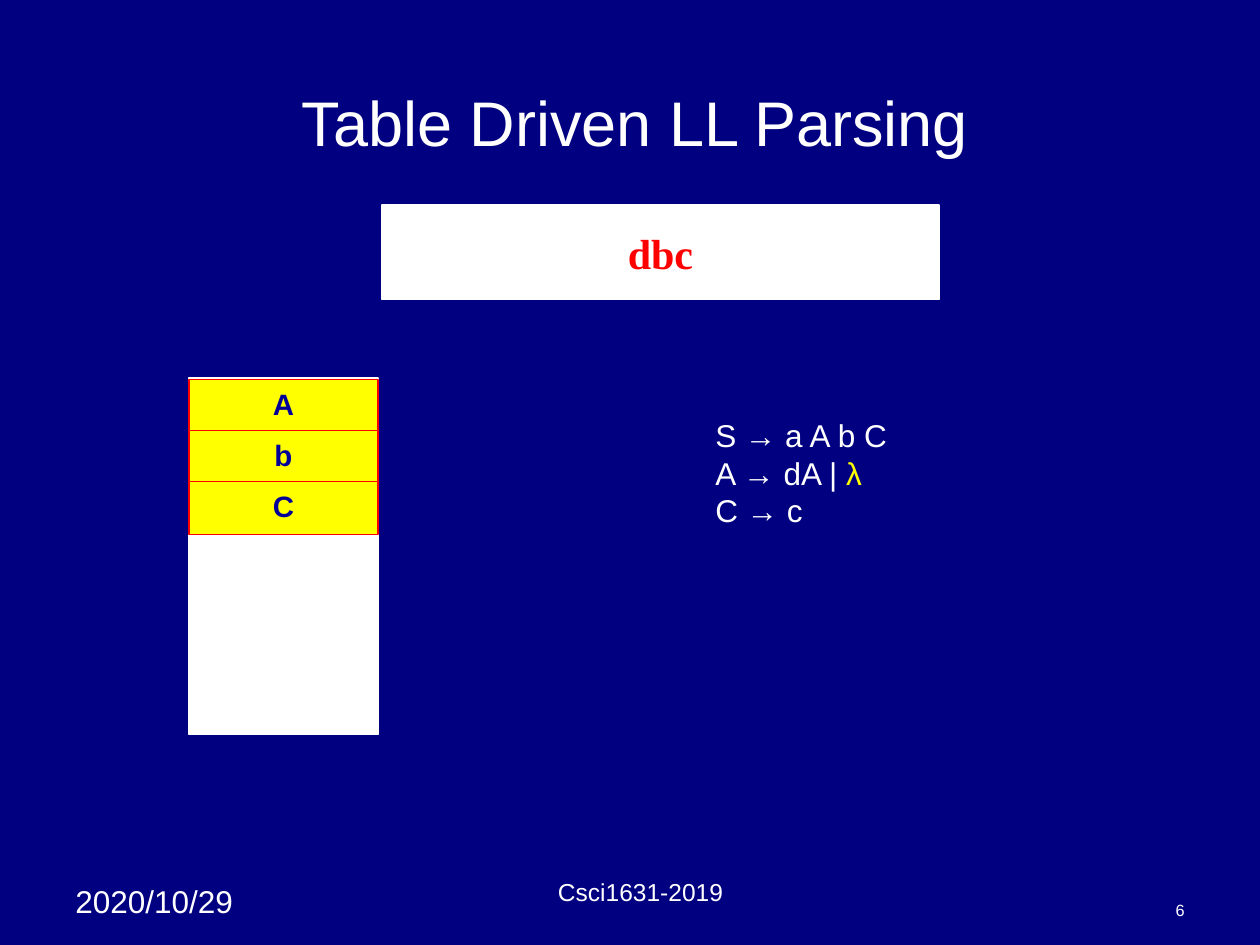
"""Build the slide on table driven LL parsing."""

from pptx import Presentation
from pptx.dml.color import RGBColor
from pptx.enum.shapes import MSO_SHAPE
from pptx.enum.text import MSO_ANCHOR, PP_ALIGN
from pptx.util import Cm, Pt

RECTANGLE = MSO_SHAPE.RECTANGLE
LEFT, CENTER, RIGHT = PP_ALIGN.LEFT, PP_ALIGN.CENTER, PP_ALIGN.RIGHT
TOP, MIDDLE, BOTTOM = MSO_ANCHOR.TOP, MSO_ANCHOR.MIDDLE, MSO_ANCHOR.BOTTOM

NAVY = RGBColor(0x00, 0x00, 0x80)
INK = RGBColor(0x00, 0x00, 0x99)
WHITE = RGBColor(0xFF, 0xFF, 0xFF)
YELLOW = RGBColor(0xFF, 0xFF, 0x00)
RED = RGBColor(0xFF, 0x00, 0x00)


def write(frame, lines, size=18, color=WHITE, font="Arial", bold=False,
          align=LEFT, anchor=TOP, wrap=True):
    """Fill a frame with lines, each a list of (text, colour) runs or a string."""
    frame.word_wrap = wrap
    frame.vertical_anchor = anchor
    for index, line in enumerate(lines):
        paragraph = frame.add_paragraph() if index else frame.paragraphs[0]
        paragraph.alignment = align
        for text, run_color in [(line, color)] if isinstance(line, str) else line:
            run = paragraph.add_run()
            run.text = text
            run.font.name = font
            run.font.size = Pt(size)
            run.font.bold = bold
            run.font.color.rgb = run_color


class ParsingSlide:
    """Hold the slide and draw its elements, placed in centimetres."""

    def __init__(self, slide, background):
        self.shapes = slide.shapes
        slide.background.fill.solid()
        slide.background.fill.fore_color.rgb = background

    def label(self, place, *lines, **style):
        """Add a text box."""
        box = self.shapes.add_textbox(*map(Cm, place))
        write(box.text_frame, lines, **style)

    def block(self, place, *lines, fill=WHITE, line=WHITE, width=1, **style):
        """Add a filled rectangle with optional centred text."""
        block = self.shapes.add_shape(RECTANGLE, *map(Cm, place))
        block.shadow.inherit = False
        block.fill.solid()
        block.fill.fore_color.rgb = fill
        block.line.color.rgb = line
        block.line.width = Pt(width)
        write(block.text_frame, lines, align=CENTER, **style)

    def stack(self, left, top, width, height, symbols, pitch, cell_height):
        """Add the parse stack with its symbols from the top down."""
        self.block((left, top, width, height))
        for row, symbol in enumerate(symbols):
            self.block((left, top + 0.03 + row * pitch, width, cell_height), symbol,
                       fill=YELLOW, line=RED, width=0.75,
                       size=16.8, color=INK, bold=True)


def main():
    """Build and save the presentation."""
    deck = Presentation()
    deck.slide_width, deck.slide_height = Cm(25.4), Cm(19.05)
    page = ParsingSlide(deck.slides.add_slide(deck.slide_layouts[6]), NAVY)

    page.label((1.27, 17.65, 4.01, 1.02), "2020/10/29")
    page.label((8.89, 17.7, 8.05, 0.69), "Csci1631-2019",
               size=14, align=CENTER, anchor=BOTTOM)
    page.label((18.21, 17.98, 5.92, 0.69), "6",
               size=9.3, align=RIGHT, anchor=BOTTOM)
    page.label((1.47, 1.27, 22.66, 2.34), "Table Driven LL Parsing",
               size=36, align=CENTER, anchor=MIDDLE)
    page.block((7.7, 4.14, 11.23, 1.9), "dbc", size=24, color=RED, bold=True,
               font="Times New Roman", anchor=MIDDLE, wrap=False)
    page.label((14.17, 8.26, 4.04, 2.54),
               "S → a A b C",
               [("A → dA | ", WHITE), ("λ", YELLOW)],
               "C → c", wrap=False)
    page.stack(3.81, 7.62, 3.81, 7.19, "AbC", pitch=1.03, cell_height=1.07)

    deck.save("out.pptx")


if __name__ == "__main__":
    main()
